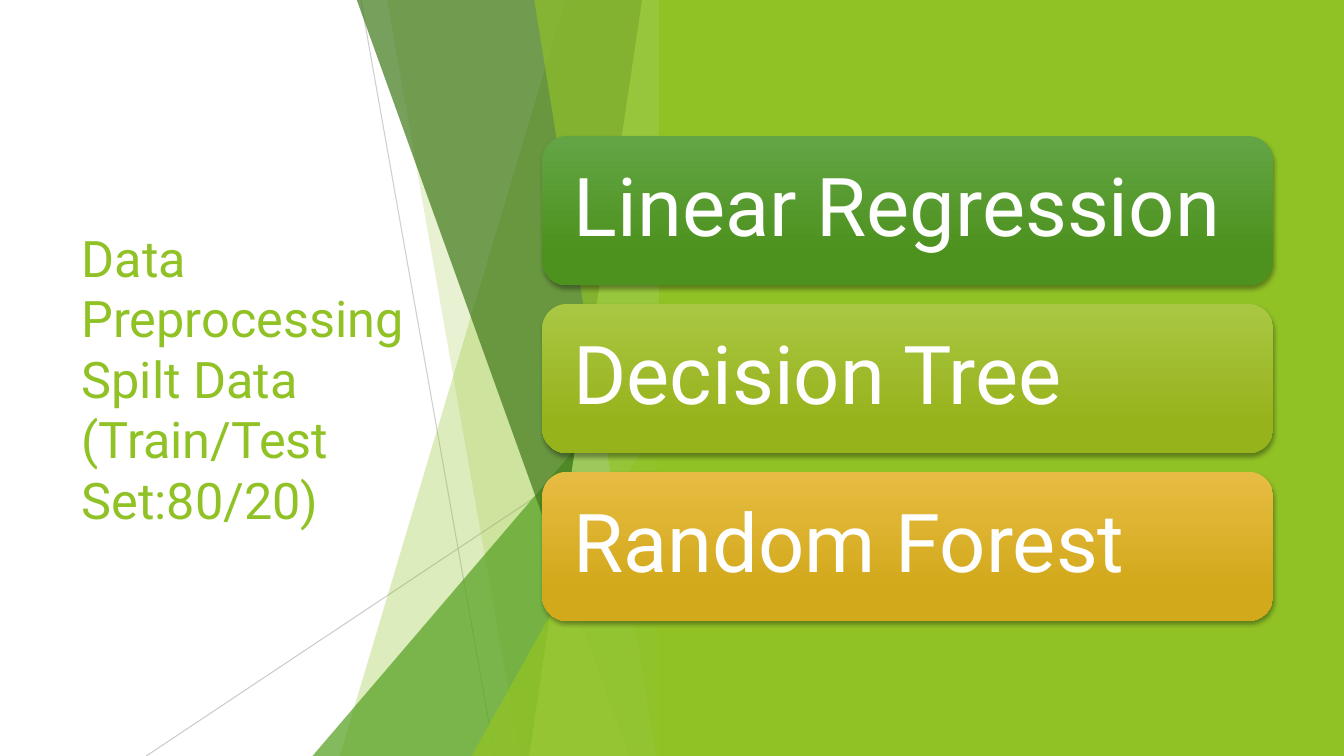
from lxml import etree
from pptx import Presentation
from pptx.dml.color import RGBColor
from pptx.enum.shapes import MSO_CONNECTOR, MSO_SHAPE
from pptx.enum.text import MSO_ANCHOR, PP_ALIGN
from pptx.oxml.ns import qn
from pptx.util import Inches, Pt

STRAIGHT = MSO_CONNECTOR.STRAIGHT
RECTANGLE, ROUNDED = MSO_SHAPE.RECTANGLE, MSO_SHAPE.ROUNDED_RECTANGLE
TRIANGLE = MSO_SHAPE.ISOSCELES_TRIANGLE
MIDDLE, LEFT = MSO_ANCHOR.MIDDLE, PP_ALIGN.LEFT

WIDTH, HEIGHT = Inches(13.33), Inches(7.5)
FONT = "Roboto"
WHITE = RGBColor(0xFF, 0xFF, 0xFF)
BLACK = RGBColor(0x00, 0x00, 0x00)
GRAY = RGBColor(0xBF, 0xBF, 0xBF)
LIME = RGBColor(0x90, 0xC2, 0x26)
PALE_LIME = RGBColor(0xC0, 0xE4, 0x74)
GREEN = RGBColor(0x54, 0xA0, 0x21)
DARK_GREEN = RGBColor(0x3F, 0x78, 0x19)

FACET_EDGE = 50
RAYS = [((26.85, 0), (36.82, 100), 75), ((FACET_EDGE, 53.73), (10.88, 100), 80)]
TITLE_LINES = ["Data Preprocessing", "Spilt Data", "(Train/Test Set:80/20)"]
CARD_TOP, CARD_PITCH = 18, 22.2
MODELS = [
    ("Linear Regression", RGBColor(0x63, 0xA5, 0x45), RGBColor(0x4D, 0x92, 0x1E)),
    ("Decision Tree", RGBColor(0xAA, 0xC7, 0x44), RGBColor(0x97, 0xB3, 0x1C)),
    ("Random Forest", RGBColor(0xE7, 0xBC, 0x43), RGBColor(0xD2, 0xA9, 0x1B)),
]


def across(percent):
    """Return a share of the slide's width."""
    return round(WIDTH * percent / 100)


def down(percent):
    """Return a share of the slide's height."""
    return round(HEIGHT * percent / 100)


def frame(left, top, width, height):
    """Turn slide shares into a position and size."""
    return across(left), down(top), across(width), down(height)


def set_opacity(element, percent):
    """Make the first solid colour inside an element see-through."""
    color = next(element.iter(qn("a:srgbClr")))
    etree.SubElement(color, qn("a:alpha"), val=str(percent * 1000))


def paint(shape, color, opacity=100):
    """Give a shape a flat fill without line or shadow."""
    shape.shadow.inherit = False
    shape.fill.solid()
    shape.fill.fore_color.rgb = color
    shape.line.fill.background()
    if opacity < 100:
        set_opacity(shape._element.spPr, opacity)


def add_ray(group, start, end, opacity):
    """Draw a thin gray line."""
    ray = group.shapes.add_connector(
        STRAIGHT, across(start[0]), down(start[1]), across(end[0]), down(end[1]))
    ray.line.color.rgb = GRAY
    ray.line.width = Pt(0.75)
    set_opacity(ray._element.spPr, opacity)
    etree.SubElement(ray._element.spPr, qn("a:effectLst"))


def add_band(group, top_left, bottom_left, color, opacity):
    """Draw a full-height facet with a slanted left side."""
    builder = group.shapes.build_freeform(across(top_left), 0)
    builder.add_line_segments(
        [(across(FACET_EDGE), 0), (across(FACET_EDGE), HEIGHT),
         (across(bottom_left), HEIGHT)], close=True)
    paint(builder.convert_to_shape(), color, opacity)


def add_corner(group, left, top, color, opacity):
    """Draw a right triangle rising towards the facet edge."""
    corner = group.shapes.add_shape(
        TRIANGLE, *frame(left, top, FACET_EDGE - left, 100 - top))
    corner.adjustments[0] = 1
    paint(corner, color, opacity)


def add_facets(page):
    """Stack the translucent facets from back to front."""
    group = page.shapes.add_group_shape()
    for start, end, opacity in RAYS:
        add_ray(group, start, end, opacity)
    add_band(group, 42.08, 25.28, LIME, 30)
    add_band(group, 28.8, 38.7, LIME, 20)
    add_corner(group, 23.25, 44.4, GREEN, 72)
    add_band(group, 26.55, 46.8, DARK_GREEN, 70)
    add_band(group, 47.78, 39.38, PALE_LIME, 70)
    add_band(group, 39.75, 48.83, LIME, 65)
    add_corner(group, 35.1, 52.4, LIME, 80)


def add_words(para, words, size, color):
    """Append one formatted run."""
    run = para.add_run()
    run.text = words
    run.font.name = FONT
    run.font.size = Pt(size)
    run.font.color.rgb = color


def add_title(page):
    """Write the title in the white area."""
    box = page.shapes.add_textbox(*frame(5.33, 20.13, 29.1, 59.73))
    box.text_frame.word_wrap = True
    box.text_frame.vertical_anchor = MIDDLE
    para = box.text_frame.paragraphs[0]
    for index, line in enumerate(TITLE_LINES):
        if index:
            para.add_line_break()
        add_words(para, line, 36, LIME)


def add_card_shadow(card):
    """Cast a soft shadow below a card."""
    card.shadow.inherit = False
    effects = card._element.spPr.find(qn("a:effectLst"))
    shadow = etree.SubElement(
        effects, qn("a:outerShdw"), blurRad=str(Pt(3)), dist=str(Pt(2)),
        dir="5400000", rotWithShape="0")
    etree.SubElement(shadow, qn("a:srgbClr"), val=str(BLACK))
    set_opacity(shadow, 35)


def add_card(page, row, name, light, dark):
    """Place one model card in its row."""
    card = page.shapes.add_shape(
        ROUNDED, *frame(40.35, CARD_TOP + row * CARD_PITCH, 54.38, 19.73))
    card.fill.gradient()
    card.fill.gradient_angle = 270
    for stop, color, position in zip(card.fill.gradient_stops, (light, dark), (0, 0.78)):
        stop.color.rgb = color
        stop.position = position
    card.line.fill.background()
    add_card_shadow(card)
    text = card.text_frame
    text.word_wrap = True
    text.vertical_anchor = MIDDLE
    text.margin_left = text.margin_right = Inches(0.24)
    text.margin_top = text.margin_bottom = Inches(0.24)
    para = text.paragraphs[0]
    para.alignment = LEFT
    para.line_spacing = 0.9
    add_words(para, name, 58, WHITE)


def main():
    """Build and save the slide."""
    deck = Presentation()
    deck.slide_width, deck.slide_height = WIDTH, HEIGHT
    page = deck.slides.add_slide(deck.slide_layouts[6])
    add_title(page)
    add_facets(page)
    panel = page.shapes.add_shape(RECTANGLE, *frame(49.05, 0, 50.95, 100))
    paint(panel, LIME)
    for row, model in enumerate(MODELS):
        add_card(page, row, *model)
    deck.save("out.pptx")


if __name__ == "__main__":
    main()
